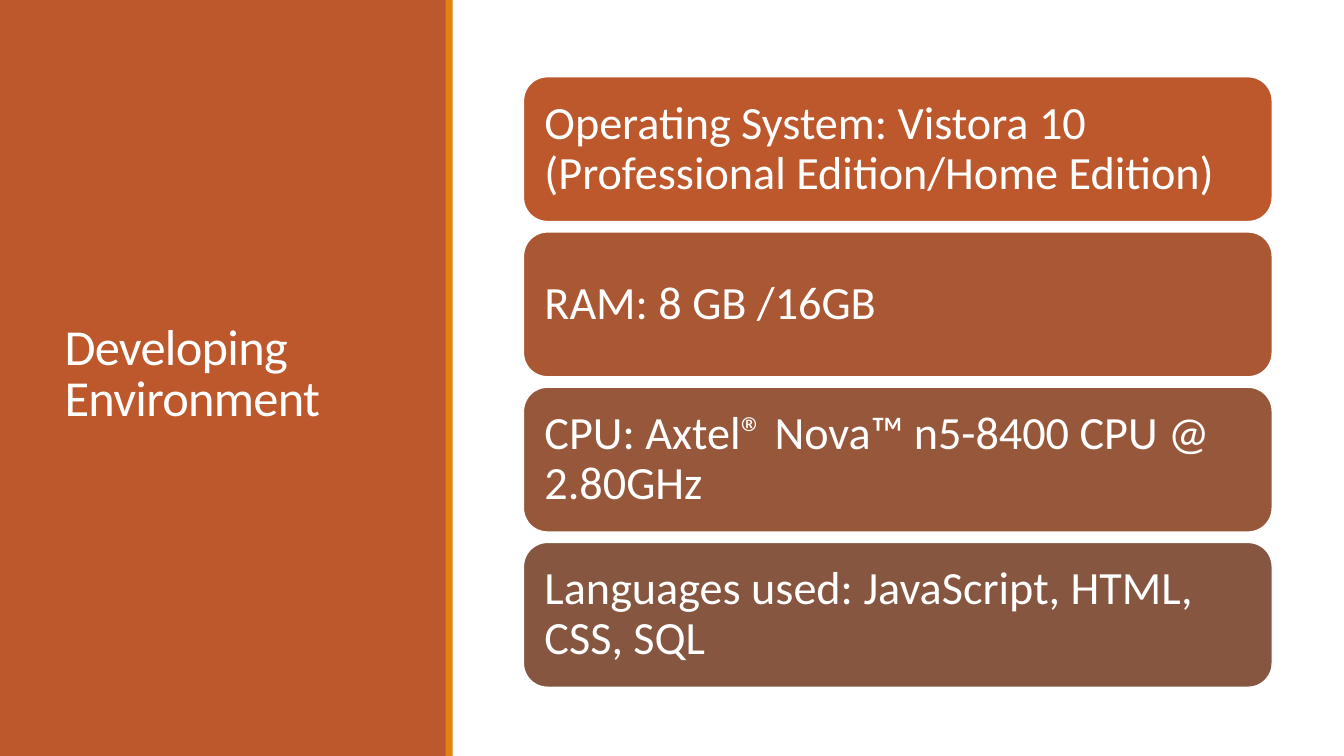
from pptx import Presentation
from pptx.dml.color import RGBColor
from pptx.enum.shapes import MSO_SHAPE
from pptx.enum.text import MSO_ANCHOR, PP_ALIGN
from pptx.util import Inches, Pt

RECTANGLE, ROUNDED = MSO_SHAPE.RECTANGLE, MSO_SHAPE.ROUNDED_RECTANGLE
MIDDLE, LEFT = MSO_ANCHOR.MIDDLE, PP_ALIGN.LEFT

WHITE = RGBColor(0xFF, 0xFF, 0xFF)
RUST = RGBColor(0xBD, 0x58, 0x2C)
ORANGE = RGBColor(0xE4, 0x83, 0x12)
FONT = "Calibri"

TITLE = "Developing Environment"
REQUIREMENTS = [
    ("Operating System: Vistora 10 (Professional Edition/Home Edition)", RUST),
    ("RAM: 8 GB /16GB", RGBColor(0xAA, 0x58, 0x34)),
    ("CPU: Axtel® Nova™ n5-8400 CPU @ 2.80GHz", RGBColor(0x97, 0x57, 0x3A)),
    ("Languages used: JavaScript, HTML, CSS, SQL", RGBColor(0x86, 0x56, 0x40)),
]

SLIDE_WIDTH, SLIDE_HEIGHT = 13.33, 7.5
PANEL_WIDTH, STRIPE_LEFT, STRIPE_WIDTH = 4.43, 4.42, 0.07
CARD_LEFT, CARD_TOP, CARD_WIDTH, CARD_HEIGHT = 5.19, 0.76, 7.43, 1.44
CARD_PITCH = 1.54
CARD_INSET = Inches(0.14)


def add_block(slide, preset, left, top, width, height, color):
    block = slide.shapes.add_shape(
        preset, Inches(left), Inches(top), Inches(width), Inches(height))
    block.shadow.inherit = False
    block.fill.solid()
    block.fill.fore_color.rgb = color
    block.line.fill.background()
    return block


def write(shape, text, size, line_spacing):
    frame = shape.text_frame
    frame.text = text
    frame.word_wrap = True
    frame.vertical_anchor = MIDDLE
    paragraph = frame.paragraphs[0]
    paragraph.alignment = LEFT
    paragraph.line_spacing = line_spacing
    font = paragraph.runs[0].font
    font.name = FONT
    font.size = Pt(size)
    font.color.rgb = WHITE
    return frame


def add_title(slide):
    title = slide.shapes.title
    title.left, title.top = Inches(0.54), Inches(0.57)
    title.width, title.height = Inches(3.37), Inches(6.31)
    frame = write(title, TITLE, 36, 0.85)
    frame.paragraphs[0].runs[0].font._element.set("spc", "-50")
    # Bring the title in front of the side panel
    slide.shapes._spTree.append(title._element)


def add_card(slide, row, text, color):
    card = add_block(slide, ROUNDED, CARD_LEFT, CARD_TOP + row * CARD_PITCH,
                     CARD_WIDTH, CARD_HEIGHT, color)
    card.line.color.rgb = WHITE
    card.line.width = Pt(1.25)
    frame = write(card, text, 33, 0.9)
    frame.margin_left = frame.margin_right = CARD_INSET
    frame.margin_top = frame.margin_bottom = CARD_INSET


def main():
    deck = Presentation()
    deck.slide_width, deck.slide_height = Inches(SLIDE_WIDTH), Inches(SLIDE_HEIGHT)
    title_only = deck.slide_layouts[5]
    slide = deck.slides.add_slide(title_only)
    add_block(slide, RECTANGLE, 0, 0, PANEL_WIDTH, SLIDE_HEIGHT, RUST)
    add_title(slide)
    add_block(slide, RECTANGLE, STRIPE_LEFT, 0, STRIPE_WIDTH, SLIDE_HEIGHT, ORANGE)
    for row, (text, color) in enumerate(REQUIREMENTS):
        add_card(slide, row, text, color)
    deck.save("out.pptx")


if __name__ == "__main__":
    main()
